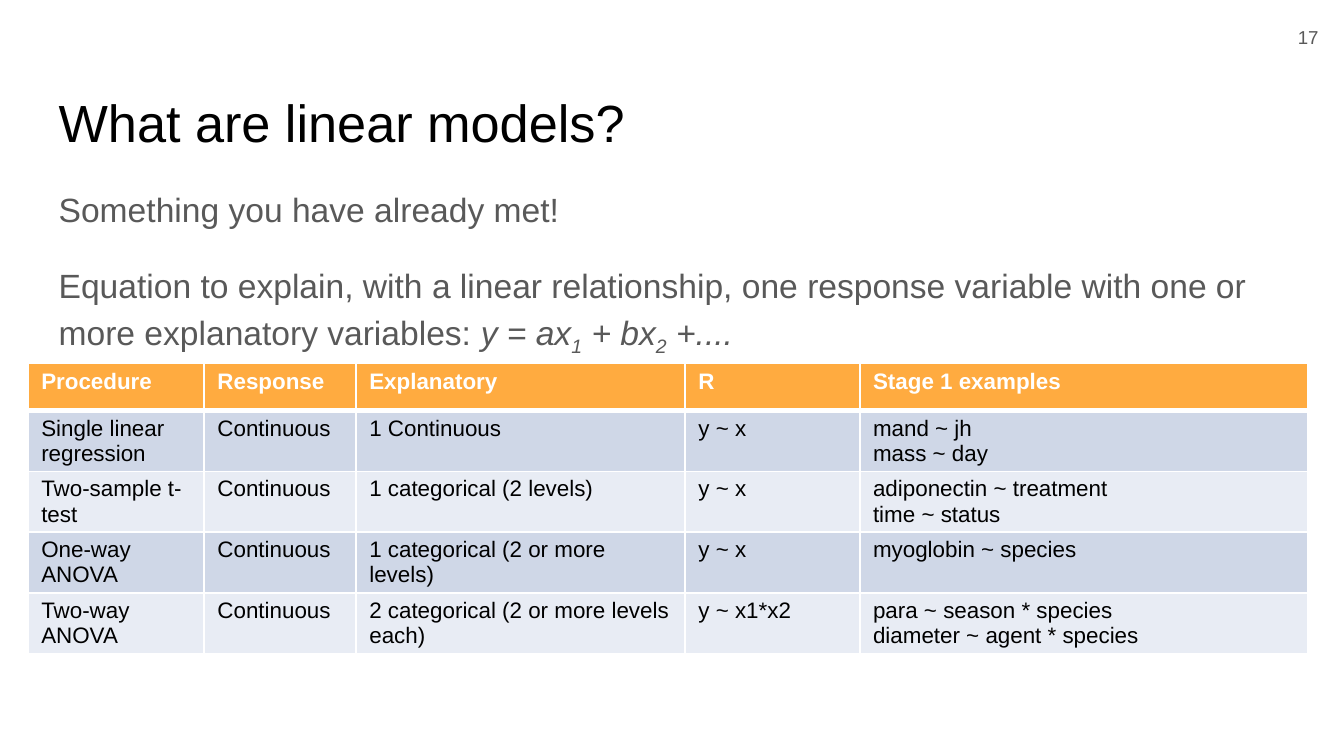
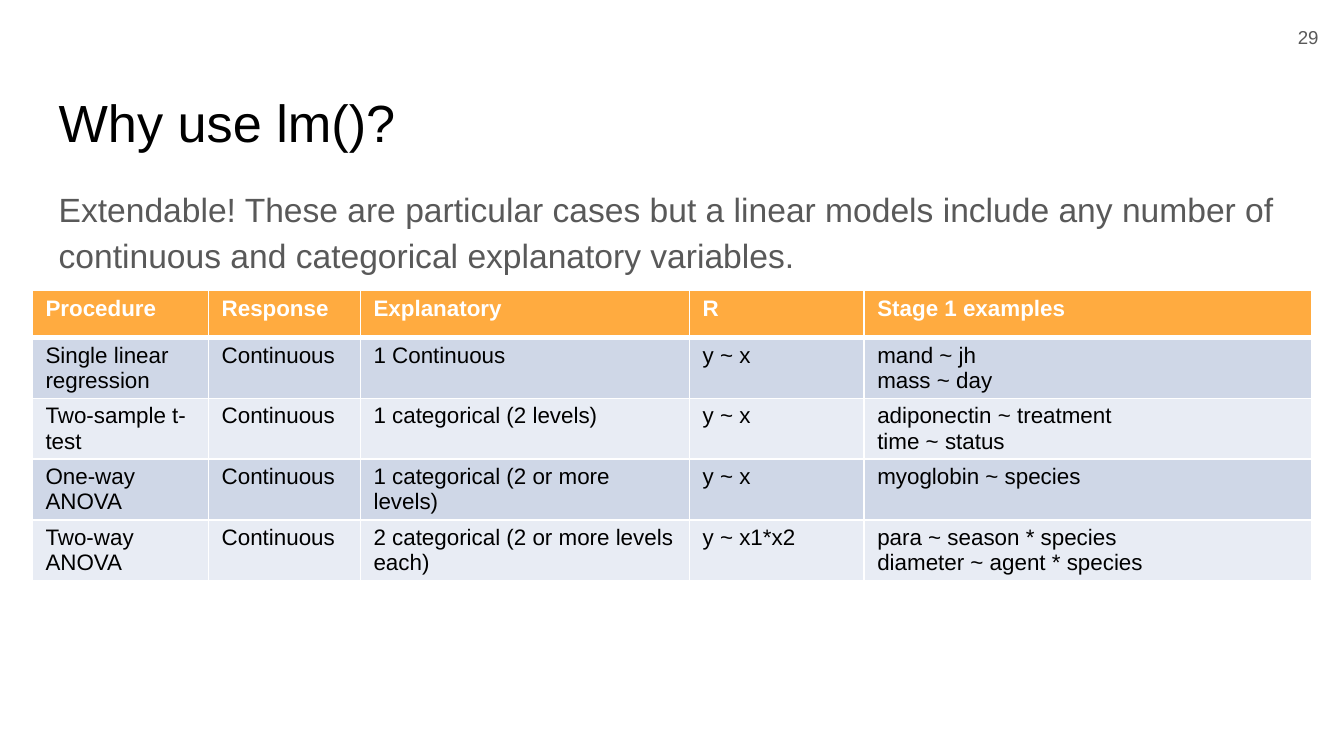
from dataclasses import dataclass

from lxml.etree import SubElement
from pptx import Presentation
from pptx.dml.color import RGBColor
from pptx.enum.text import MSO_ANCHOR, MSO_AUTO_SIZE, PP_ALIGN
from pptx.oxml.ns import qn
from pptx.util import Cm, Pt


@dataclass(frozen=True)
class Theme:
    font: str = "Arial"
    black: str = "000000"
    grey: str = "595959"
    white: str = "FFFFFF"
    header: str = "FFAB40"
    bands: tuple = ("CFD7E7", "E8ECF4")
    title_size: int = 28
    body_size: int = 18
    table_size: int = 12
    number_size: int = 10


T = Theme()


def style(p, size, color, bold=False):
    p.font.name, p.font.size, p.font.bold = T.font, Pt(size), bold
    p.font.color.rgb = RGBColor.from_string(color)


def set_frame(tf, anchor):
    tf.word_wrap = True
    tf.auto_size = MSO_AUTO_SIZE.NONE
    tf.vertical_anchor = anchor
    tf.margin_left = tf.margin_right = tf.margin_top = tf.margin_bottom = Cm(0.25)


# Table shared by both slides; a line break starts a new paragraph
COL_WIDTHS = (3.33, 2.87, 6.22, 3.3, 8.46)
ROW_HEIGHTS = (0.89, 0.89, 1.04, 1.04, 1.04)
PROCEDURES = (
    ("Procedure", "Response", "Explanatory", "R", "Stage 1 examples"),
    ("Single linear regression", "Continuous", "1 Continuous", "y ~ x",
     "mand ~ jh\nmass ~ day"),
    ("Two-sample t-test", "Continuous", "1 categorical (2 levels)", "y ~ x",
     "adiponectin ~ treatment\ntime ~ status"),
    ("One-way ANOVA", "Continuous", "1 categorical (2 or more levels)", "y ~ x",
     "myoglobin ~ species"),
    ("Two-way ANOVA", "Continuous", "2 categorical (2 or more levels each)",
     "y ~ x1*x2", "para ~ season * species\ndiameter ~ agent * species"),
)

# Body paragraphs are lists of (text, kind) runs
SLIDES = (
    dict(title="What are linear models?", number="17", body_height=3.84,
         table_at=(0.53, 6.87),
         body=([("Something you have already met!", "plain")],
               [("Equation to explain, with a linear relationship, one response "
                 "variable with one or more explanatory variables: ", "plain"),
                ("y = ax", "math"), ("1", "sub"), (" + bx", "math"),
                ("2", "sub"), (" +....", "math")])),
    dict(title="Why use lm()?", number="29", body_height=10.59,
         table_at=(0.61, 5.49),
         body=([("Extendable! These are particular cases but a linear models "
                 "include any number of continuous and categorical explanatory "
                 "variables.", "plain")],)),
)

prs = Presentation()
prs.slide_width, prs.slide_height = Cm(25.4), Cm(14.29)

for content in SLIDES:
    s = prs.slides.add_slide(prs.slide_layouts[5])

    # Title
    title = s.shapes.title
    title.left, title.top, title.width, title.height = Cm(0.86), Cm(1.45), Cm(23.67), Cm(1.6)
    set_frame(title.text_frame, MSO_ANCHOR.TOP)
    title.text_frame.text = content["title"]
    p = title.text_frame.paragraphs[0]
    p.alignment = PP_ALIGN.LEFT
    style(p, T.title_size, T.black)

    # Body text
    body = s.shapes.add_textbox(Cm(0.86), Cm(3.2), Cm(23.67), Cm(content["body_height"]))
    tf = body.text_frame
    set_frame(tf, MSO_ANCHOR.TOP)
    for i, runs in enumerate(content["body"]):
        p = tf.add_paragraph() if i else tf.paragraphs[0]
        p.line_spacing = 1.15
        if i:
            p.space_before = p.space_after = Pt(16)
        style(p, T.body_size, T.grey)
        for text, kind in runs:
            r = p.add_run()
            r.text = text
            if kind != "plain":
                r.font.italic = True
            if kind == "sub":
                r.font._element.set("baseline", "-25000")

    # Slide number
    number = s.shapes.add_textbox(Cm(23.65), Cm(0.15), Cm(1.52), Cm(1.09))
    set_frame(number.text_frame, MSO_ANCHOR.MIDDLE)
    number.text_frame.text = content["number"]
    p = number.text_frame.paragraphs[0]
    p.alignment = PP_ALIGN.RIGHT
    style(p, T.number_size, T.grey)

    # Table of procedures
    left, top = content["table_at"]
    table = s.shapes.add_table(len(PROCEDURES), len(COL_WIDTHS), Cm(left), Cm(top),
                               Cm(sum(COL_WIDTHS)), Cm(sum(ROW_HEIGHTS))).table
    table.horz_banding = False
    for column, width in zip(table.columns, COL_WIDTHS):
        column.width = Cm(width)
    for i, (row, height) in enumerate(zip(table.rows, ROW_HEIGHTS)):
        row.height = Cm(height)
        fill = T.bands[(i - 1) % 2] if i else T.header
        for cell, text in zip(row.cells, PROCEDURES[i]):
            cell.margin_left = cell.margin_right = Cm(0.25)
            cell.margin_top = cell.margin_bottom = Cm(0.1)
            cell.text = text
            for p in cell.text_frame.paragraphs:
                style(p, T.table_size, T.black if i else T.white, bold=i == 0)

            # White borders, thicker under the header
            thick = {0: "lnB", 1: "lnT"}.get(i)
            tcPr = cell._tc.get_or_add_tcPr()
            for side in ("lnL", "lnR", "lnT", "lnB"):
                ln = SubElement(tcPr, qn(f"a:{side}"), w=str(Pt(3 if side == thick else 1)))
                SubElement(SubElement(ln, qn("a:solidFill")), qn("a:srgbClr"), val=T.white)
            cell.fill.solid()
            cell.fill.fore_color.rgb = RGBColor.from_string(fill)

prs.save("out.pptx")
